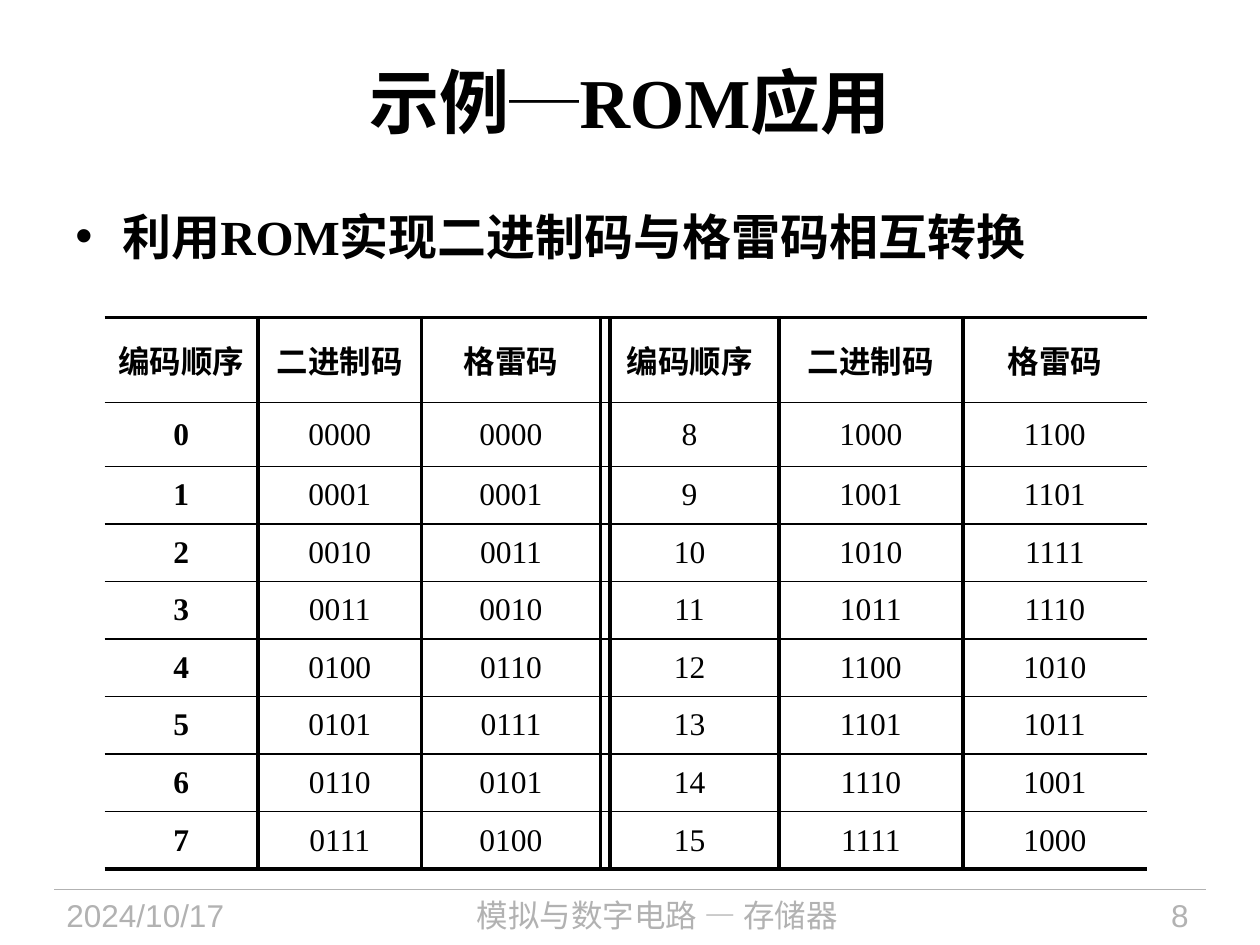
"""Build a slide with a table of binary codes and Gray codes for a ROM example."""
from lxml import etree
from pptx import Presentation
from pptx import dml, util as u
from pptx.dml import color
from pptx.enum import shapes, text
from pptx.oxml import ns

COLOURS = {"ink": "000000", "muted": "B2B2B2"}
SERIF, SANS, CJK = "Times New Roman", "Arial", "Noto Sans CJK SC"
HEADINGS = ["编码顺序", "二进制码", "格雷码"] * 2
COLUMNS = [3.09, 3.3, 3.6, 3.6, 3.71, 3.71]
ROWS = [1.71, 1.29] + [1.16] * 7
THICK, THIN = 2.25, 1
ALIGN = text.PP_ALIGN


def child(parent, tag, **attributes):
    """Append a drawing element to a parent."""
    return etree.SubElement(parent, ns.qn(tag), attributes)


def add_span(para, words, size, font=SERIF, colour="ink", bold=False):
    """Add one run with its Latin and East Asian fonts."""
    span = para.add_run()
    span.text = words
    span.font.size = u.Pt(size)
    span.font.bold = bold
    span.font.name = font
    span.font.color.rgb = color.RGBColor.from_string(COLOURS[colour])
    child(span.font._element, "a:ea", typeface=CJK)


def add_box(page, left, top, width, height, align, anchor=text.MSO_ANCHOR.TOP):
    """Add a wrapping text box and return its first paragraph."""
    box = page.shapes.add_textbox(*map(u.Cm, (left, top, width, height)))
    frame = box.text_frame
    frame.word_wrap = True
    frame.vertical_anchor = anchor
    para = frame.paragraphs[0]
    para.alignment = align
    return para


def add_rule(page, start, end, colour, width):
    """Add a straight line without a shadow."""
    rule = page.shapes.add_connector(
        shapes.MSO_CONNECTOR.STRAIGHT, *map(u.Cm, start + end))
    rule.line.color.rgb = color.RGBColor.from_string(COLOURS[colour])
    rule.line.width = u.Pt(width)
    child(rule._element.spPr, "a:effectLst")


def add_bullet(para):
    """Give a paragraph a round bullet with a hanging indent."""
    properties = para._p.get_or_add_pPr()
    properties.set("marL", str(u.Cm(0.95)))
    properties.set("indent", str(-u.Cm(0.95)))
    child(properties, "a:buFont", typeface=SANS)
    child(properties, "a:buChar", char="•")


def set_borders(cell, left, right, top, bottom):
    """Draw the four borders of a cell; a width of zero hides one."""
    cell.fill.background()
    properties = cell._tc.get_or_add_tcPr()
    widths = zip("LRTB", (left, right, top, bottom))
    for place, (side, width) in enumerate(widths):
        border = etree.Element(ns.qn(f"a:ln{side}"), w=str(u.Pt(width)))
        if width:
            fill = child(border, "a:solidFill")
            child(fill, "a:srgbClr", val=COLOURS["ink"])
        else:
            child(border, "a:noFill")
        properties.insert(place, border)


def code_rows():
    """Return the headings and the rows of order, binary code and Gray code."""
    def codes(order):
        return [str(order), f"{order:04b}", f"{order ^ order >> 1:04b}"]
    return [HEADINGS] + [codes(order) + codes(order + 8) for order in range(8)]


def add_code_table(page, left, top):
    """Add the code table with thick outer rules and open sides."""
    frame = page.shapes.add_table(
        len(ROWS), len(COLUMNS), u.Cm(left), u.Cm(top),
        u.Cm(sum(COLUMNS)), u.Cm(sum(ROWS)))
    table = frame.table
    table.first_row = table.horz_banding = False
    for column, width in zip(table.columns, COLUMNS):
        column.width = u.Cm(width)
    last_row, last_column = len(ROWS) - 1, len(COLUMNS) - 1
    for r, entries in enumerate(code_rows()):
        table.rows[r].height = u.Cm(ROWS[r])
        for c, entry in enumerate(entries):
            cell = table.cell(r, c)
            cell.vertical_anchor = text.MSO_ANCHOR.MIDDLE
            para = cell.text_frame.paragraphs[0]
            para.alignment = ALIGN.CENTER
            add_span(para, entry, 18, bold=r == 0 or c == 0)
            set_borders(cell,
                        left=THICK if c else 0,
                        right=THICK if c < last_column else 0,
                        top=THIN if r else THICK,
                        bottom=THIN if r < last_row else THICK)


def add_footer(page):
    """Add the rule, date, course name and page number."""
    add_rule(page, (1.09, 17.93), (24.31, 17.93), "muted", 0.75)
    parts = [
        ("2024/10/17", 1.09, 4.78, ALIGN.LEFT, SANS),
        ("模拟与数字电路 — 存储器", 6.1, 14.3, ALIGN.CENTER, CJK),
        ("8", 20.83, 3.38, ALIGN.RIGHT, SANS),
    ]
    for words, left, width, align, font in parts:
        para = add_box(page, left, 17.93, width, 1.12, align)
        add_span(para, words, 18, font, "muted")


def main():
    """Build and save the deck."""
    deck = Presentation()
    deck.slide_width, deck.slide_height = u.Cm(25.4), u.Cm(19.05)
    page = deck.slides.add_slide(deck.slide_layouts[6])
    add_footer(page)
    title = add_box(page, 1.27, 0.43, 22.86, 3.18, ALIGN.CENTER,
                    text.MSO_ANCHOR.MIDDLE)
    for words, font in (("示例", SERIF), ("─", CJK), ("ROM应用", SERIF)):
        add_span(title, words, 40, font, bold=True)
    body = add_box(page, 1.27, 4.04, 22.86, 13.69, ALIGN.LEFT)
    add_bullet(body)
    add_span(body, "利用ROM实现二进制码与格雷码相互转换", 28, bold=True)
    add_code_table(page, 2.11, 6.4)
    add_rule(page, (12.3, 6.4), (12.3, 17.52), "ink", THICK)
    deck.save("out.pptx")


if __name__ == "__main__":
    main()
